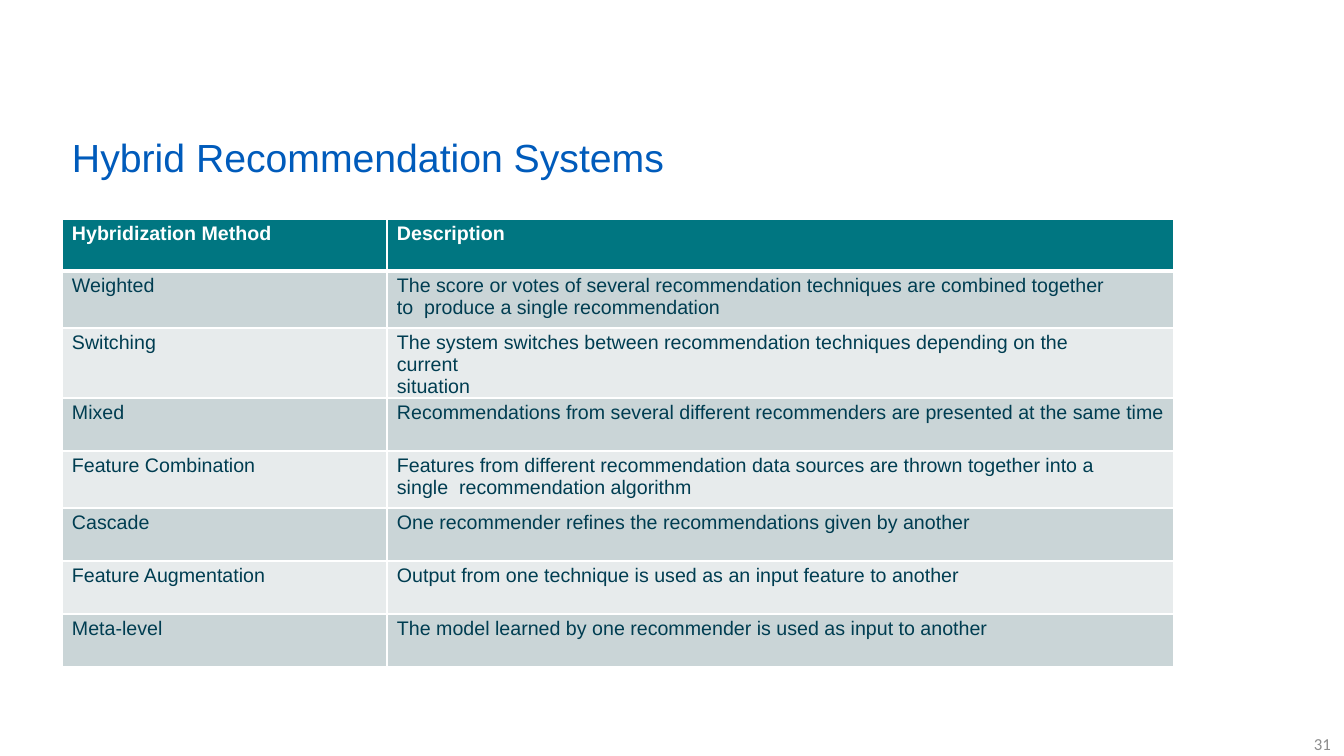
"""Build the slide that lists hybrid recommendation methods in a table."""
from dataclasses import dataclass

from lxml import etree
from pptx import Presentation
from pptx import util as u
from pptx.dml.color import RGBColor
from pptx.enum import text
from pptx.oxml.ns import qn

TITLE = "Hybrid Recommendation Systems"
SLIDE_NUMBER = "31"
HEADER = ("Hybridization Method", "Description")
METHODS = [
    ("Weighted", ["The score or votes of several recommendation techniques are "
                  "combined together to  produce a single recommendation"], 2),
    ("Switching", ["The system switches between recommendation techniques "
                   "depending on the current", "situation"], 2),
    ("Mixed", ["Recommendations from several different recommenders are "
               "presented at the same time"], 1),
    ("Feature Combination", ["Features from different recommendation data sources are "
                             "thrown together into a single  recommendation algorithm"], 2),
    ("Cascade", ["One recommender refines the recommendations given by another"], 1),
    ("Feature Augmentation", ["Output from one technique is used as an input feature "
                              "to another"], 1),
    ("Meta-level", ["The model learned by one recommender is used as input to another"], 1),
]

SLIDE_SIZE = (1344, 756)
TITLE_BOX = (72, 132, 620, 50)
NUMBER_BOX = (1206, 732, 125, 18)
TABLE_ORIGIN = (62, 219)
COLUMN_WIDTHS = (325, 787)
HEADER_HEIGHT = 52
ROW_HEIGHTS = {1: 53, 2: 57}
RIGHT_MARGINS = {1: 0, 2: 60}


@dataclass(frozen=True)
class Theme:
    """Colours, fonts and type sizes of the slide."""
    title: str = "005BBB"
    number: str = "8C8C8C"
    header: str = "007681"
    ink: str = "003D51"
    rule: str = "FFFFFF"
    bands: tuple = ("CAD5D7", "E7EBEC")
    font: str = "Arial"
    number_font: str = "Calibri"
    title_size: int = 28
    body_size: int = 14
    number_size: int = 12


THEME = Theme()


def px(length):
    """Turn px into EMU."""
    return u.Emu(round(length * 914400 / 100.8))


def apply(target, values):
    """Set each named attribute of the target."""
    for name, value in values.items():
        setattr(target, name, value)


def place(shape, box):
    """Put a shape at left, top, width, height in px."""
    apply(shape, dict(zip(("left", "top", "width", "height"), map(px, box))))


def write(frame, lines, font, size, colour, para_format=None, bold=False):
    """Fill a text frame with one paragraph for each line."""
    for index, line in enumerate(lines):
        para = frame.paragraphs[0] if index == 0 else frame.add_paragraph()
        apply(para, para_format or {})
        if index:
            para.space_before = u.Pt(0)
        span = para.add_run()
        span.text = line
        apply(span.font, {"name": font, "size": u.Pt(size), "bold": bold})
        span.font.color.rgb = RGBColor.from_string(colour)


def draw_borders(cell, widths):
    """Give a cell left, right, top and bottom lines, widths in points."""
    properties = cell._tc.get_or_add_tcPr()
    for index, (side, width) in enumerate(zip("LRTB", widths)):
        line = etree.Element(qn(f"a:ln{side}"), w=str(u.Pt(width)))
        fill = etree.SubElement(line, qn("a:solidFill"))
        etree.SubElement(fill, qn("a:srgbClr"), val=THEME.rule)
        properties.insert(index, line)


def fill_cell(cell, lines, fill, colour, borders, right=0, bold=False):
    """Write and format one table cell."""
    apply(cell, {"margin_left": px(10), "margin_right": px(right),
                 "margin_top": px(4), "margin_bottom": 0,
                 "vertical_anchor": text.MSO_ANCHOR.TOP})
    cell.fill.solid()
    cell.fill.fore_color.rgb = RGBColor.from_string(fill)
    write(cell.text_frame, lines, THEME.font, THEME.body_size, colour,
          {"space_before": u.Pt(3.2)}, bold)
    draw_borders(cell, borders)


def add_methods(slide):
    """Add the table of methods."""
    heights = [HEADER_HEIGHT] + [ROW_HEIGHTS[count] for _, _, count in METHODS]
    frame = slide.shapes.add_table(
        len(heights), len(COLUMN_WIDTHS),
        *map(px, (*TABLE_ORIGIN, sum(COLUMN_WIDTHS), sum(heights))))
    table = frame.table
    table.horz_banding = False
    for column, width in zip(table.columns, COLUMN_WIDTHS):
        column.width = px(width)
    for row, height in zip(table.rows, heights):
        row.height = px(height)
    for column, label in enumerate(HEADER):
        fill_cell(table.cell(0, column), [label], THEME.header, THEME.rule,
                  (1, 1, 1, 3), bold=True)
    for row, (method, description, count) in enumerate(METHODS, 1):
        band = THEME.bands[(row - 1) % 2]
        borders = (1, 1, 3 if row == 1 else 1, 1)
        fill_cell(table.cell(row, 0), [method], band, THEME.ink, borders)
        fill_cell(table.cell(row, 1), description, band, THEME.ink, borders,
                  RIGHT_MARGINS[count])


def main():
    """Build and save the deck."""
    deck = Presentation()
    deck.slide_width, deck.slide_height = map(px, SLIDE_SIZE)
    slide = deck.slides.add_slide(deck.slide_layouts[5])
    title = slide.shapes.title
    place(title, TITLE_BOX)
    number = slide.shapes.add_textbox(*map(px, NUMBER_BOX))
    for shape in (title, number):
        apply(shape.text_frame, {
            "margin_left": 0, "margin_right": 0, "margin_top": 0, "margin_bottom": 0,
            "word_wrap": True, "auto_size": text.MSO_AUTO_SIZE.NONE,
            "vertical_anchor": text.MSO_ANCHOR.MIDDLE})
    write(title.text_frame, [TITLE], THEME.font, THEME.title_size, THEME.title,
          {"alignment": text.PP_ALIGN.LEFT})
    write(number.text_frame, [SLIDE_NUMBER], THEME.number_font, THEME.number_size,
          THEME.number, {"alignment": text.PP_ALIGN.RIGHT, "line_spacing": u.Pt(18.6)})
    add_methods(slide)
    deck.save("out.pptx")


if __name__ == "__main__":
    main()
